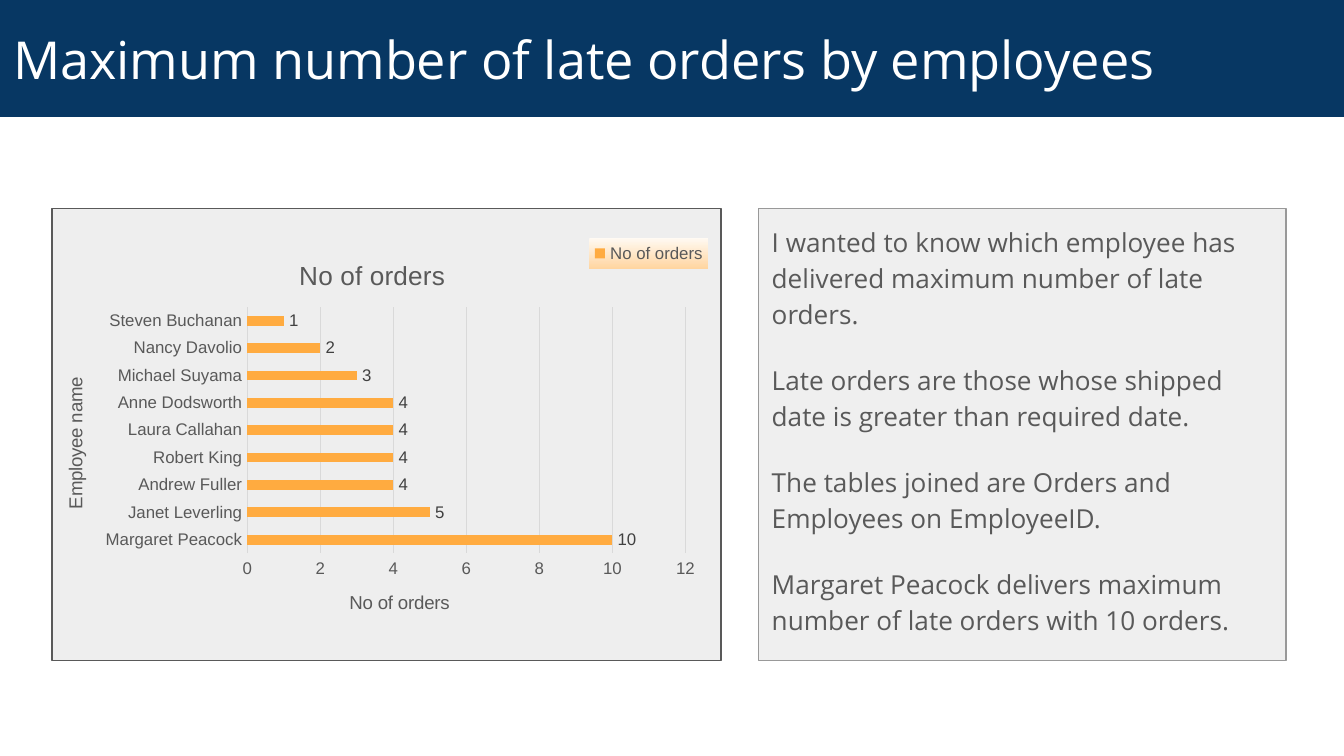
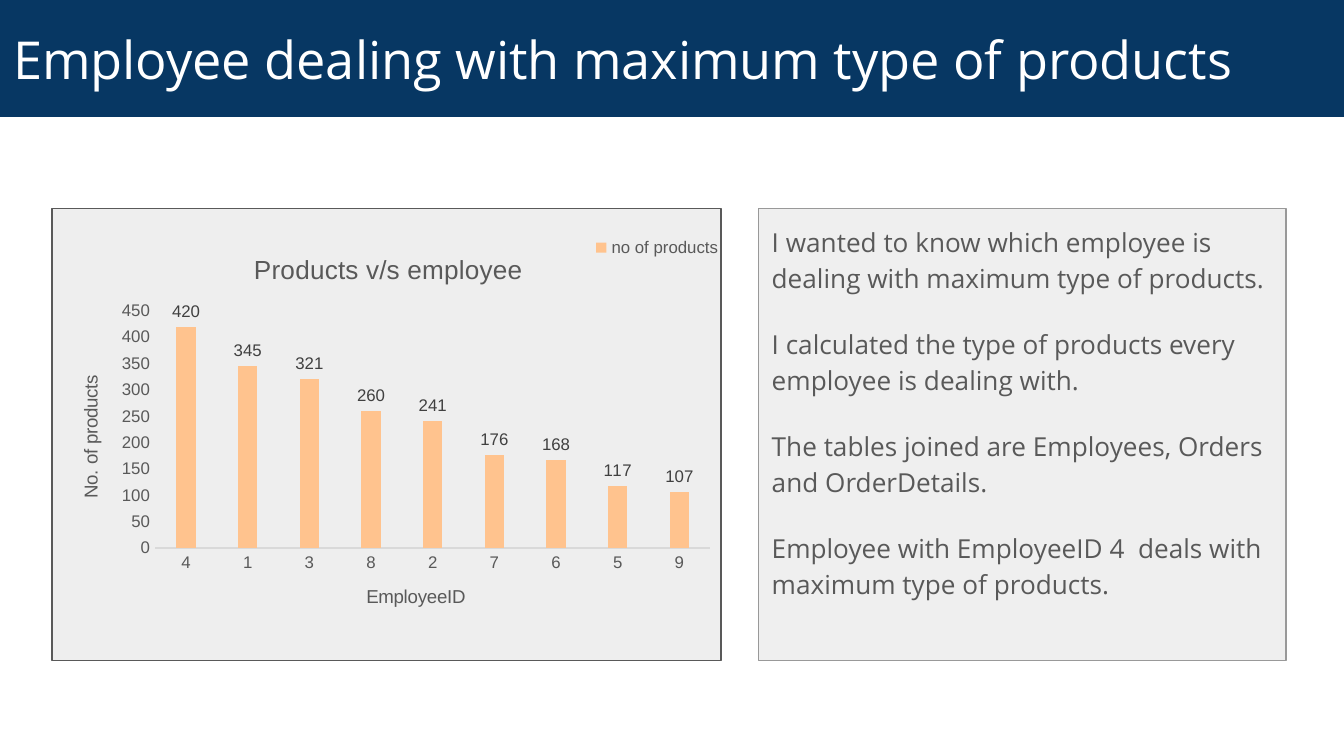
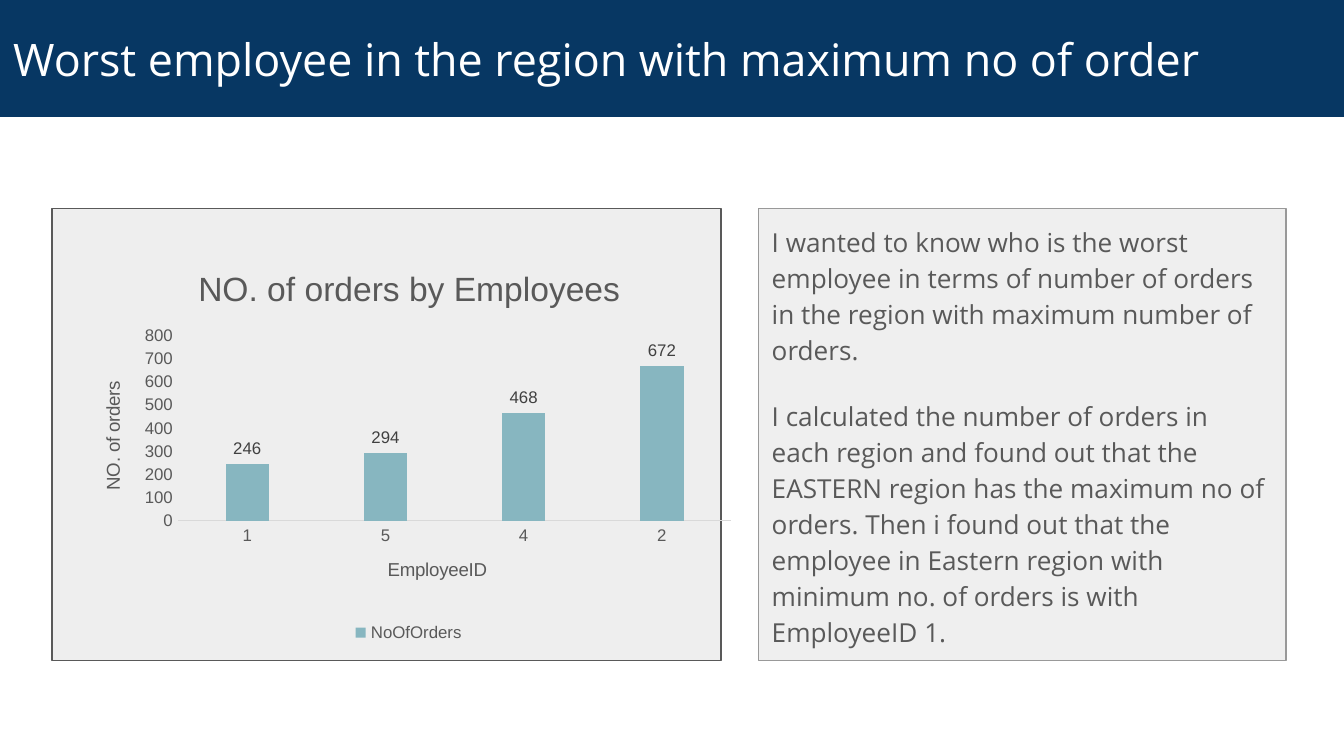
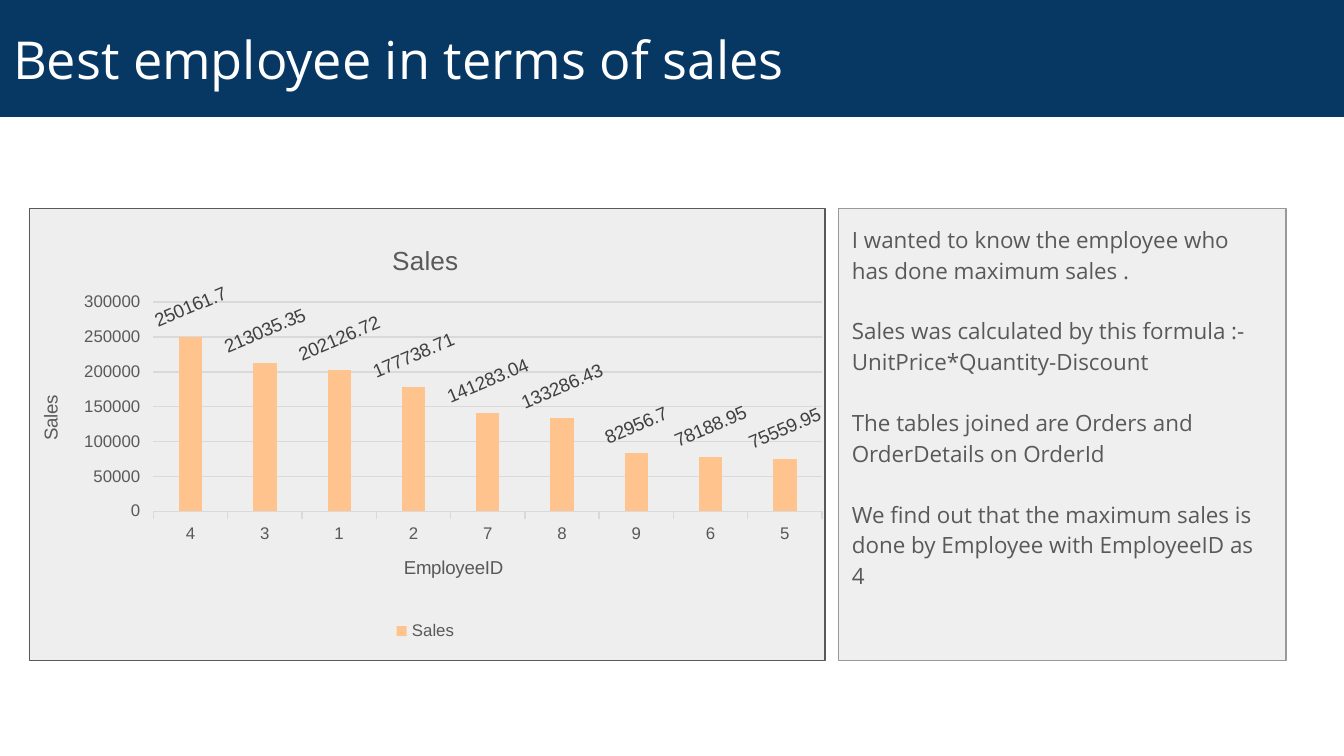
"""Build four slides that pair an employee chart with its explanation."""
from dataclasses import dataclass

from lxml import etree
from pptx import Presentation
from pptx import util as u
from pptx.chart.data import CategoryChartData
from pptx.dml.color import RGBColor
from pptx.enum import chart as charts, shapes, text
from pptx.oxml import parse_xml
from pptx.oxml.ns import qn

COLORS = {
    "navy": "073763", "white": "FFFFFF", "note": "EFEFEF", "note_line": "999999",
    "panel": "EEEEEE", "text": "595959", "label": "404040", "grid": "D9D9D9",
    "orange": "FFAB40", "peach": "FFC38E", "teal": "87B6C0",
    "glow_top": "FFFAF3", "glow_bottom": "FFD5A0",
}
TEXT_FONT, CHART_FONT = "Open Sans", "Arial"
WIDTH, HEIGHT = u.Inches(10), u.Inches(5.625)
COLUMNS, ROWS = 100, 56.25
RIGHT_EDGE = 95.7
PANEL_TOP, PANEL_ROWS = 15.5, 33.64
CHART_NS = "http://schemas.openxmlformats.org/drawingml/2006/chart"
DRAWING_NS = "http://schemas.openxmlformats.org/drawingml/2006/main"
KINDS, LEGEND = charts.XL_CHART_TYPE, charts.XL_LEGEND_POSITION


@dataclass(frozen=True)
class Box:
    """A rectangle in grid columns and rows."""
    left: float
    top: float
    columns: float
    rows: float

    def lengths(self) -> tuple[int, int, int, int]:
        """Return left, top, width and height in EMU."""
        column, row = WIDTH / COLUMNS, HEIGHT / ROWS
        return (int(self.left * column), int(self.top * row),
                int(self.columns * column), int(self.rows * row))


@dataclass(frozen=True)
class ChartSpec:
    """The data, look and inner layout (percent of the chart) of a chart."""
    box: Box
    title: str
    title_at: tuple[float, ...]
    category_title: str
    category_title_at: tuple[float, ...]
    value_title: str
    value_title_at: tuple[float, ...]
    plot_at: tuple[float, ...]
    series: str
    color: str
    points: dict[str, float]
    title_size: float = 14
    kind: KINDS = KINDS.COLUMN_CLUSTERED
    gap: int = 219
    overlap: int = -27
    gridlines: bool = False
    ticks: bool = False
    legend_at: tuple[float, ...] = ()
    legend_glow: bool = False
    label_size: float = 9
    label_turn: int = 0


@dataclass(frozen=True)
class SlideSpec:
    """One slide: heading, notes and chart."""
    heading: str
    notes: tuple[str, ...]
    chart: ChartSpec
    heading_size: float = 28
    note_size: float = 14
    note_left: float = 56.44
    panel_left: float = 3.86
    panel_columns: float = 49.8


SLIDES = (
    SlideSpec(
        "Maximum number of late orders by employees",
        ("I wanted to know which employee has delivered maximum number of late orders.",
         "Late orders are those whose shipped date is greater than required date.",
         "The tables joined are Orders and Employees on EmployeeID.",
         "Margaret Peacock delivers maximum number of late orders with 10 orders."),
        ChartSpec(
            Box(2.7, 17.7, 50, 30), "No of orders", (38.4, 4),
            "Employee name", (3.5, 33.8), "No of orders", (46.1, 86.5),
            (31.4, 17.2, 65.2, 61.1), "No of orders", "orange",
            {"Margaret Peacock": 10, "Janet Leverling": 5, "Andrew Fuller": 4,
             "Robert King": 4, "Laura Callahan": 4, "Anne Dodsworth": 4,
             "Michael Suyama": 3, "Nancy Davolio": 2, "Steven Buchanan": 1},
            kind=KINDS.BAR_CLUSTERED, gap=182, overlap=0, gridlines=True,
            legend_at=(82.3, 0, 17.7, 7.7), legend_glow=True)),
    SlideSpec(
        "Employee dealing with maximum type of products",
        ("I wanted to know which employee is dealing with maximum type of products.",
         "I calculated the type of products every employee is dealing with.",
         "The tables joined are Employees, Orders and OrderDetails.",
         "Employee with EmployeeID 4  deals with maximum type of products."),
        ChartSpec(
            Box(3.9, 17.3, 50, 30), "Products v/s employee", (29.3, 3.8),
            "EmployeeID", (46.2, 86.5), "No. of products", (3.4, 34.5),
            (15.3, 19.5, 82.6, 58.8), "no of products", "peach",
            {"4": 420, "1": 345, "3": 321, "8": 260, "2": 241,
             "7": 176, "6": 168, "5": 117, "9": 107},
            legend_at=(80, 0, 20, 7.5))),
    SlideSpec(
        "Worst employee in the region with maximum no of order",
        ("I wanted to know who is the worst employee in terms of number of orders "
         "in the region with maximum number of orders.",
         "I calculated the number of orders in each region and found out that the "
         "EASTERN region has the maximum no of orders. Then i found out that the "
         "employee in Eastern region with minimum no. of orders is with EmployeeID 1."),
        ChartSpec(
            Box(5.4, 18.2, 50, 30), "NO. of orders by Employees", (17.8, 4),
            "EmployeeID", (46.4, 76.8), "NO. of orders", (3.7, 33),
            (15.7, 22.7, 82.3, 45.8), "NoOfOrders", "teal",
            {"1": 246, "5": 294, "4": 468, "2": 672}, title_size=18),
        heading_size=24),
    SlideSpec(
        "Best employee in terms of sales",
        ("I wanted to know the employee who has done maximum sales .",
         "Sales was calculated by this formula :- UnitPrice*Quantity-Discount",
         "The tables joined are Orders and OrderDetails on OrderId",
         "We find out that the maximum sales is done by Employee with EmployeeID as 4"),
        ChartSpec(
            Box(0.9, 16.6, 61.5, 31.5), "Sales", (45.4, 3.8),
            "EmployeeID", (47, 77.8), "Sales", (2.8, 39.8),
            (17.1, 18.7, 80.9, 49.4), "Sales", "peach",
            {"4": 250161.7, "3": 213035.35, "1": 202126.72, "2": 177738.71,
             "7": 141283.04, "8": 133286.43, "9": 82956.7, "6": 78188.95,
             "5": 75559.95},
            gridlines=True, ticks=True, label_size=10, label_turn=-23),
        note_size=12, note_left=62.4, panel_left=2.2, panel_columns=59.2),
)


def rgb(name: str) -> RGBColor:
    """Look up a named colour."""
    return RGBColor.from_string(COLORS[name])


def style_font(font, name: str, size: float, color: str) -> None:
    """Set family, size and colour of a font."""
    font.name, font.size, font.bold = name, u.Pt(size), False
    font.color.rgb = rgb(color)


def add_panel(slide, box: Box, fill: str, line: str | None = None):
    """Draw a flat rectangle, outlined if a line colour is given."""
    shape = slide.shapes.add_shape(shapes.MSO_SHAPE.RECTANGLE, *box.lengths())
    shape.shadow.inherit = False
    shape.fill.solid()
    shape.fill.fore_color.rgb = rgb(fill)
    if line:
        shape.line.color.rgb = rgb(line)
        shape.line.width = u.Pt(0.75)
    else:
        shape.line.fill.background()
    return shape


def write(shape, lines: tuple[str, ...], size: float, color: str,
          anchor: text.MSO_ANCHOR, spacing: float = 1, after: float = 0) -> None:
    """Fill a shape with left-aligned paragraphs."""
    frame = shape.text_frame
    frame.word_wrap, frame.vertical_anchor = True, anchor
    frame.margin_left, frame.margin_right = u.Inches(0.1), u.Inches(0.13)
    frame.margin_top = frame.margin_bottom = u.Inches(0.1)
    for index, line in enumerate(lines):
        paragraph = frame.add_paragraph() if index else frame.paragraphs[0]
        paragraph.text = line
        paragraph.alignment = text.PP_ALIGN.LEFT
        paragraph.line_spacing, paragraph.space_after = spacing, u.Pt(after)
        style_font(paragraph.font, TEXT_FONT, size, color)


def place(element, percents: tuple[float, ...], inner: bool = False) -> None:
    """Give a chart part a manual place in percent of the chart."""
    for old in element.findall(qn("c:layout")):
        element.remove(old)
    layout = etree.Element(qn("c:layout"))
    manual = etree.SubElement(layout, qn("c:manualLayout"))
    settings = [("layoutTarget", "inner")] if inner else []
    settings += [("xMode", "edge"), ("yMode", "edge")]
    settings += [(tag, round(percent / 100, 4)) for tag, percent in zip("xywh", percents)]
    for tag, value in settings:
        etree.SubElement(manual, qn(f"c:{tag}")).set("val", str(value))
    overlay = element.find(qn("c:overlay"))
    if overlay is None:
        element.insert(0, layout)
    else:
        overlay.addprevious(layout)


def set_title(owner, title, words: str, size: float, percents: tuple[float, ...],
              turn: int = 0) -> None:
    """Write and place the title of a chart or of an axis."""
    paragraph = title.text_frame.paragraphs[0]
    paragraph.text = words
    style_font(paragraph.font, CHART_FONT, size, "text")
    element = owner.xpath("./c:title")[0]
    element.xpath("./c:tx/c:rich/a:bodyPr")[0].set("rot", str(turn * 60000))
    place(element, percents)


def style_legend(chart, spec: ChartSpec) -> None:
    """Set the legend's place, font and optional gradient."""
    chart.has_legend = True
    legend = chart.legend
    legend.position = LEGEND.CORNER if spec.legend_at else LEGEND.BOTTOM
    legend.include_in_layout = bool(spec.legend_at)
    style_font(legend.font, CHART_FONT, 9, "text")
    element = chart.element.xpath("./c:chart/c:legend")[0]
    if spec.legend_at:
        place(element, spec.legend_at)
    if spec.legend_glow:
        stops = "".join(
            f'<a:gs pos="{position}"><a:srgbClr val="{COLORS[name]}"/></a:gs>'
            for position, name in ((0, "glow_top"), (100000, "glow_bottom")))
        element.find(qn("c:overlay")).addnext(parse_xml(
            f'<c:spPr xmlns:c="{CHART_NS}" xmlns:a="{DRAWING_NS}"><a:gradFill>'
            f'<a:gsLst>{stops}</a:gsLst><a:lin ang="5400000" scaled="0"/>'
            '</a:gradFill></c:spPr>'))


def style_axes(chart, spec: ChartSpec) -> None:
    """Set lines, ticks, fonts and titles of both axes."""
    category, value = chart.category_axis, chart.value_axis
    marks = charts.XL_TICK_MARK
    for axis in (category, value):
        axis.major_tick_mark = marks.OUTSIDE if spec.ticks else marks.NONE
        axis.minor_tick_mark = marks.NONE
        style_font(axis.tick_labels.font, CHART_FONT, 9, "text")
    category.has_major_gridlines = False
    value.has_major_gridlines = spec.gridlines
    value.format.line.fill.background()
    lines = [category.format.line]
    if spec.gridlines:
        lines.append(value.major_gridlines.format.line)
    for line in lines:
        line.color.rgb, line.width = rgb("grid"), u.Pt(0.75)
    is_bar = spec.kind == KINDS.BAR_CLUSTERED
    for axis, tag, words, percents, upright in (
            (category, "catAx", spec.category_title, spec.category_title_at, is_bar),
            (value, "valAx", spec.value_title, spec.value_title_at, not is_bar)):
        title = axis.axis_title
        owner = chart.element.xpath(f"./c:chart/c:plotArea/c:{tag}")[0]
        set_title(owner, title, words, 10, percents, -90 if upright else 0)


def style_series(chart, spec: ChartSpec) -> None:
    """Set bar spacing, colour and value labels."""
    plot = chart.plots[0]
    plot.gap_width, plot.overlap = spec.gap, spec.overlap
    plot.vary_by_categories = False
    series = plot.series[0]
    series.format.fill.solid()
    series.format.fill.fore_color.rgb = rgb(spec.color)
    labels = series.data_labels
    labels.show_value = True
    labels.position = charts.XL_LABEL_POSITION.OUTSIDE_END
    style_font(labels.font, CHART_FONT, spec.label_size, "label")
    if spec.label_turn:
        body = chart.element.xpath(".//c:ser/c:dLbls/c:txPr/a:bodyPr")[0]
        body.set("rot", str(spec.label_turn * 60000))


def add_chart(slide, spec: ChartSpec) -> None:
    """Draw one single-series chart."""
    data = CategoryChartData()
    data.categories = list(spec.points)
    data.add_series(spec.series, list(spec.points.values()))
    chart = slide.shapes.add_chart(spec.kind, *spec.box.lengths(), data).chart
    chart.font.name, chart.font.size = CHART_FONT, u.Pt(10)
    chart.has_title = True
    set_title(chart.element.xpath("./c:chart")[0], chart.chart_title,
              spec.title, spec.title_size, spec.title_at)
    style_axes(chart, spec)
    style_series(chart, spec)
    style_legend(chart, spec)
    place(chart.element.xpath("./c:chart/c:plotArea")[0], spec.plot_at, inner=True)


def add_slide(presentation, spec: SlideSpec) -> None:
    """Add a slide with note, chart panel, heading band and chart."""
    slide = presentation.slides.add_slide(presentation.slide_layouts[6])
    note = add_panel(slide, Box(spec.note_left, PANEL_TOP, RIGHT_EDGE - spec.note_left,
                                PANEL_ROWS), "note", "note_line")
    write(note, spec.notes, spec.note_size, "text", text.MSO_ANCHOR.TOP, 1.15, 16)
    add_panel(slide, Box(spec.panel_left, PANEL_TOP, spec.panel_columns, PANEL_ROWS),
              "panel", "text")
    band = add_panel(slide, Box(0, 0, COLUMNS, 8.7), "navy")
    write(band, (spec.heading,), spec.heading_size, "white", text.MSO_ANCHOR.MIDDLE)
    add_chart(slide, spec.chart)


def main() -> None:
    """Build and save the presentation."""
    presentation = Presentation()
    presentation.slide_width, presentation.slide_height = WIDTH, HEIGHT
    for spec in SLIDES:
        add_slide(presentation, spec)
    presentation.save("out.pptx")


main()
